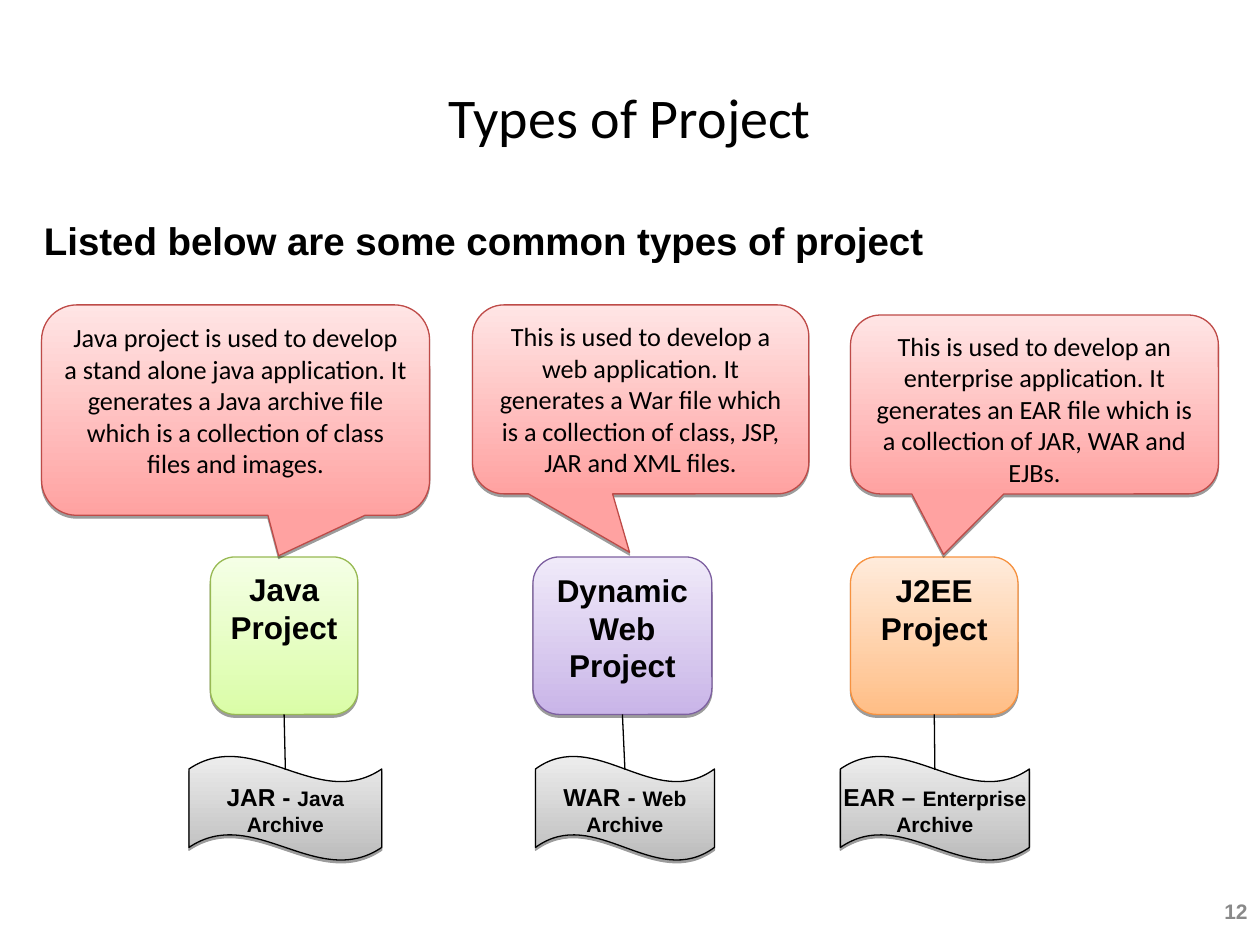
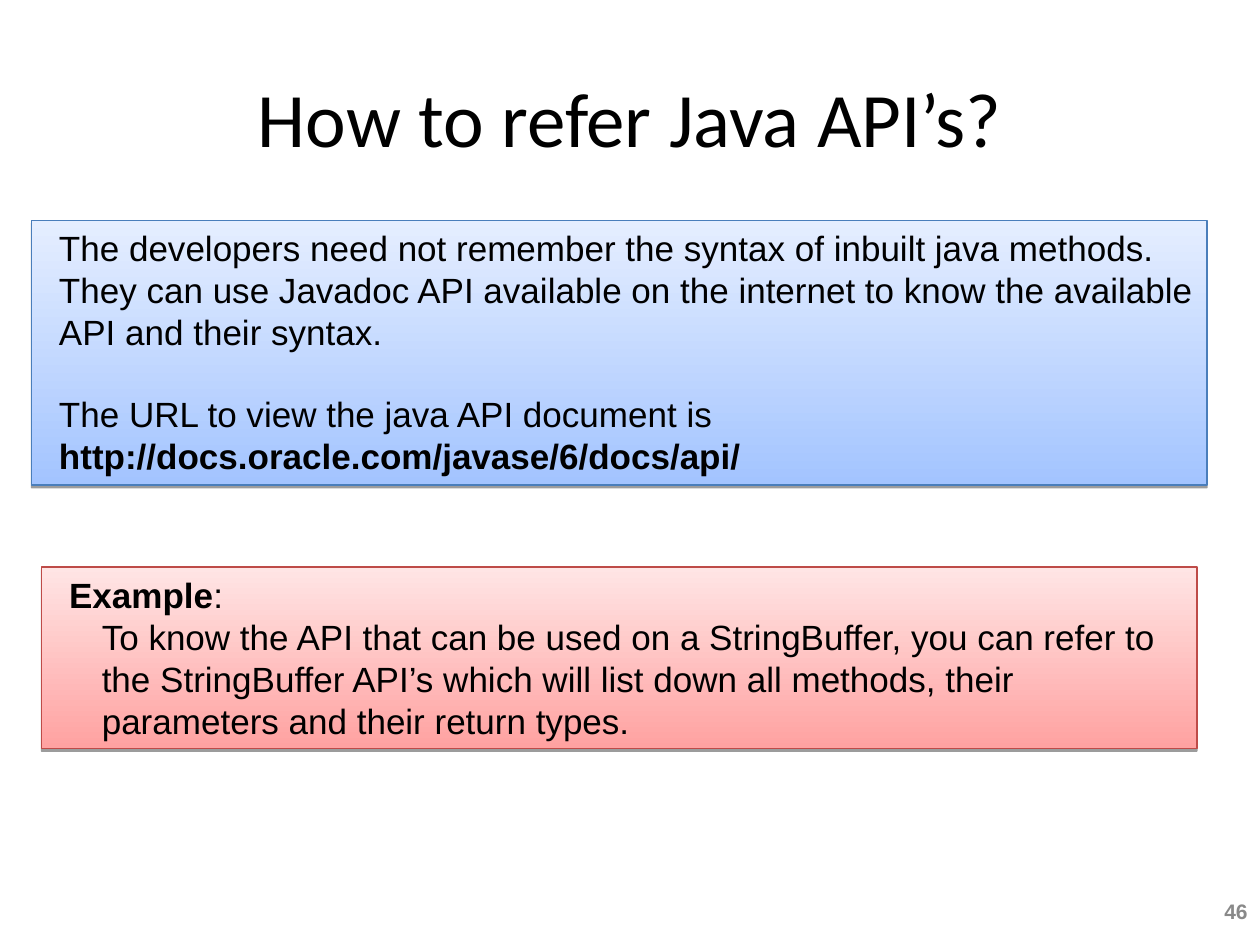
from collections import namedtuple

from lxml.etree import SubElement
from pptx import Presentation
from pptx.dml.color import RGBColor
from pptx.enum.shapes import MSO_CONNECTOR, MSO_SHAPE
from pptx.enum.text import MSO_ANCHOR, PP_ALIGN
from pptx.oxml.ns import qn
from pptx.util import Inches, Pt

Box = namedtuple("Box", "left top width height")
Palette = namedtuple("Palette", "dark light line")
Column = namedtuple("Column", "project palette project_box callout callout_box pointer archive archive_box")

BLACK = "000000"
GREY = "898989"
RED = Palette("FFA2A1", "FFE5E5", "BE4B48")
GREEN = Palette("DAFDA7", "F5FFE6", "98B954")
PURPLE = Palette("C9B5E8", "F0EAF9", "7D60A0")
ORANGE = Palette("FFBE86", "FFEBDB", "F69240")
BLUE = Palette("A3C4FF", "E5EEFF", "4A7EBB")
SILVER = Palette("BCBCBC", "EDEDED", BLACK)

CALLOUT_BOTTOM = 3.92
PROJECT_TOP, PROJECT_HEIGHT = 4.42, 1.25
ARCHIVE_TOP, ARCHIVE_HEIGHT = 6, 0.83
WAVE_CREST = 0.11

COLUMNS = [
    Column(
        "Java Project", GREEN, (1.67, 1.17),
        "Java project is used to develop a stand alone java application. It generates a "
        "Java archive file which is a collection of class files and images.",
        Box(0.33, 2.42, 3.08, 1.67), (0.111, 0.692),
        ("JAR - ", "Java Archive"), (1.5, 1.53),
    ),
    Column(
        "Dynamic Web Project", PURPLE, (4.23, 1.42),
        "This is used to develop a web application. It generates a War file which is a "
        "collection of class, JSP, JAR and XML files.",
        Box(3.75, 2.42, 2.67, CALLOUT_BOTTOM - 2.42), (-0.033, 0.809),
        ("WAR - ", "Web Archive"), (4.25, 1.42),
    ),
    Column(
        "J2EE Project", ORANGE, (6.75, 1.33),
        "This is used to develop an enterprise application. It generates an EAR file "
        "which is a collection of JAR, WAR and EJBs.",
        Box(6.75, 2.5, 2.92, CALLOUT_BOTTOM - 2.5), (-0.247, 0.838),
        ("EAR – ", "Enterprise Archive"), (6.67, 1.5),
    ),
]


def color(value):
    return RGBColor.from_string(value)


def set_font(font, size, name="Arial", bold=False, fill=BLACK):
    font.name = name
    font.size = Pt(size)
    font.bold = bold
    font.color.rgb = color(fill)


def add_text(slide, box, text, size, name="Arial", bold=False, fill=BLACK,
             align=PP_ALIGN.LEFT, anchor=MSO_ANCHOR.MIDDLE):
    frame = slide.shapes.add_textbox(*map(Inches, box)).text_frame
    frame.word_wrap = True
    frame.vertical_anchor = anchor
    paragraph = frame.paragraphs[0]
    paragraph.text = text
    paragraph.alignment = align
    set_font(paragraph.font, size, name, bold, fill)


def add_shadow(shape):
    shape.shadow.inherit = False
    effects = shape._element.spPr.find(qn("a:effectLst"))
    shadow = SubElement(effects, qn("a:outerShdw"), blurRad="0", dist=str(Pt(1.6)),
                        dir="5400000", rotWithShape="0")
    tint = SubElement(shadow, qn("a:srgbClr"), val=BLACK)
    SubElement(tint, qn("a:alpha"), val="38000")


def add_panel(slide, kind, box, palette, align=PP_ALIGN.CENTER):
    shape = slide.shapes.add_shape(kind, *map(Inches, box))
    shape.fill.gradient()
    shape.fill.gradient_angle = 90
    for stop, value in zip(shape.fill.gradient_stops, (palette.dark, palette.light)):
        stop.color.rgb = color(value)
    shape.line.color.rgb = color(palette.line)
    shape.line.width = Pt(0.75)
    add_shadow(shape)
    shape.text_frame.word_wrap = True
    shape.text_frame.vertical_anchor = MSO_ANCHOR.TOP
    shape.text_frame.paragraphs[0].alignment = align
    return shape


def add_paragraph(frame, text, indent, bold=False, space_before=0):
    paragraph = frame.paragraphs[0]
    if paragraph.runs:
        paragraph = frame.add_paragraph()
    paragraph.text = text
    paragraph.alignment = PP_ALIGN.LEFT
    properties = paragraph._p.get_or_add_pPr()
    properties.set("marL", str(Inches(indent)))
    properties.set("indent", "0")
    if space_before:
        paragraph.space_before = Pt(space_before)
    set_font(paragraph.font, 20, bold=bold)
    return paragraph


def add_slide(presentation, title, title_size, number):
    slide = presentation.slides.add_slide(presentation.slide_layouts[6])
    add_text(slide, Box(0.5, 0.3, 9, 1.25), title, title_size, "Calibri", align=PP_ALIGN.CENTER)
    add_text(slide, Box(9.51, 7.06, 0.49, 0.35), number, 12, bold=True, fill=GREY,
             align=PP_ALIGN.RIGHT)
    return slide


def add_project(slide, column):
    left, width = column.project_box
    shape = add_panel(slide, MSO_SHAPE.ROUNDED_RECTANGLE,
                      Box(left, PROJECT_TOP, width, PROJECT_HEIGHT), column.palette)
    paragraph = shape.text_frame.paragraphs[0]
    paragraph.text = column.project
    set_font(paragraph.font, 18, bold=True)
    return shape


def add_callout(slide, column):
    shape = add_panel(slide, MSO_SHAPE.ROUNDED_RECTANGULAR_CALLOUT, column.callout_box, RED)
    for index, value in enumerate(column.pointer):
        shape.adjustments[index] = value
    paragraph = shape.text_frame.paragraphs[0]
    paragraph.text = column.callout
    set_font(paragraph.font, 15, "Calibri")


def add_archive(slide, column):
    left, width = column.archive_box
    shape = add_panel(slide, MSO_SHAPE.WAVE, Box(left, ARCHIVE_TOP, width, ARCHIVE_HEIGHT), SILVER)
    frame = shape.text_frame
    frame.margin_left = frame.margin_top = frame.margin_right = frame.margin_bottom = 0
    for text, size in zip(column.archive, (14, 12)):
        run = frame.paragraphs[0].add_run()
        run.text = text
        set_font(run.font, size, bold=True)
    return shape


def connect(slide, project, archive):
    middle = archive.left + archive.width // 2
    line = slide.shapes.add_connector(MSO_CONNECTOR.STRAIGHT, middle, project.top + project.height,
                                      middle, archive.top + Inches(WAVE_CREST))
    line.begin_connect(project, 2)
    line.line.color.rgb = color(BLACK)
    line.line.width = Pt(0.75)
    SubElement(line._element.spPr, qn("a:effectLst"))


def build_project_types(presentation):
    slide = add_slide(presentation, "Types of Project", 32, "12")
    add_text(slide, Box(0.25, 1.67, 8.92, 0.47), "Listed below are some common types of project",
             22, bold=True, anchor=MSO_ANCHOR.TOP)
    for column in COLUMNS:
        project = add_project(slide, column)
        add_callout(slide, column)
        connect(slide, project, add_archive(slide, column))


def add_reference_panel(slide, box):
    frame = add_panel(slide, MSO_SHAPE.RECTANGLE, box, BLUE).text_frame
    add_paragraph(frame, "The developers need not remember the syntax of inbuilt java methods. "
                  "They can use Javadoc API available on the internet to know the available API "
                  "and their syntax.", 0.12)
    add_paragraph(frame, "The URL to view the java API document is", 0.12, space_before=23)
    add_paragraph(frame, "http://docs.oracle.com/javase/6/docs/api/", 0.12, bold=True)


def add_example_panel(slide, box):
    frame = add_panel(slide, MSO_SHAPE.RECTANGLE, box, RED).text_frame
    heading = add_paragraph(frame, "Example", 0.12, bold=True)
    colon = heading.add_run()
    colon.text = ":"
    colon.font.bold = False
    add_paragraph(frame, "To know the API that can be used on a StringBuffer, you can refer to the "
                  "StringBuffer API’s which will list down all methods, their parameters and "
                  "their return types.", 0.38)


def build_api_reference(presentation):
    slide = add_slide(presentation, "How to refer Java API’s?", 44, "46")
    add_reference_panel(slide, Box(0.25, 1.75, 9.33, 2.1))
    add_example_panel(slide, Box(0.33, 4.5, 9.17, 1.44))


def main():
    presentation = Presentation()
    presentation.slide_width = Inches(10)
    presentation.slide_height = Inches(7.5)
    build_project_types(presentation)
    build_api_reference(presentation)
    presentation.save("out.pptx")


if __name__ == "__main__":
    main()
